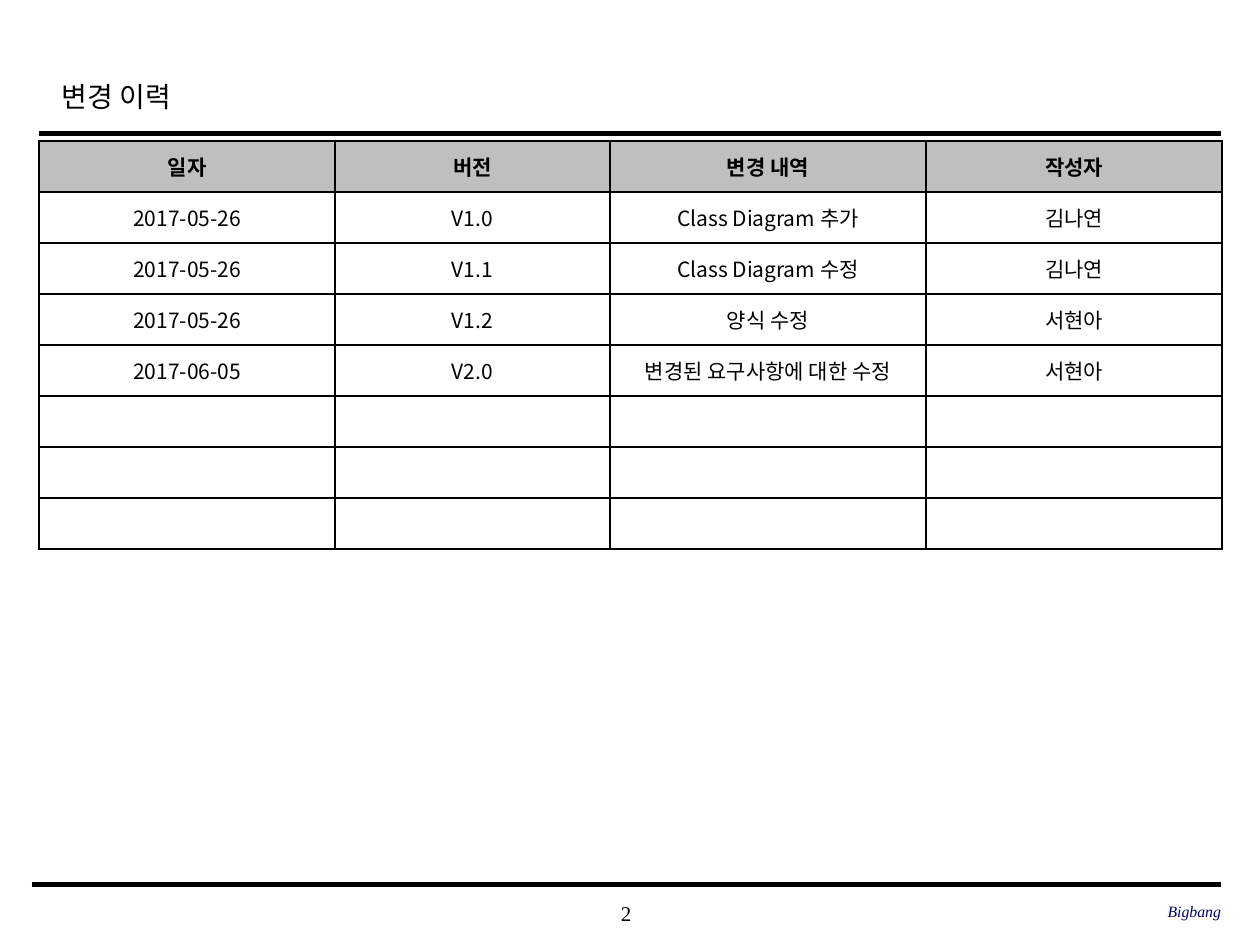
from lxml import etree
from pptx import Presentation
from pptx.dml.color import RGBColor
from pptx.enum.shapes import MSO_CONNECTOR
from pptx.enum.text import MSO_ANCHOR, PP_ALIGN
from pptx.oxml import parse_xml
from pptx.oxml.ns import nsdecls, qn
from pptx.util import Inches, Pt

LEFT, CENTER, RIGHT = PP_ALIGN.LEFT, PP_ALIGN.CENTER, PP_ALIGN.RIGHT
MIDDLE = MSO_ANCHOR.MIDDLE
STRAIGHT = MSO_CONNECTOR.STRAIGHT
HEX = {"ink": "000000", "navy": "000066", "head": "BFBFBF", "paper": "FFFFFF"}
SERIF, SANS = "Times New Roman", "Noto Sans CJK KR"
EDGE = 9.69


def write(frame, text, align, color="ink", **style):
    """Fill a frame with one styled line; Hangul always uses the sans font."""
    line = frame.paragraphs[0]
    line.alignment = align
    run = line.add_run()
    run.text = text
    for key, value in style.items():
        setattr(run.font, key, value)
    run.font.color.rgb = RGBColor.from_string(HEX[color])
    east = etree.SubElement(run.font._element, qn("a:ea"))
    east.set("typeface", SANS)
    return line


deck = Presentation()
deck.slide_width, deck.slide_height = Inches(10), Inches(7.5)
slide = deck.slides.add_slide(deck.slide_layouts[5])

# Title
title = slide.shapes.title
title.left, title.top, title.width, title.height = map(Inches, (0.39, 0.49, 7.55, 0.5))
title.text_frame.vertical_anchor = MIDDLE
line = write(title.text_frame, "변경 이력", LEFT, name=SERIF, size=Pt(16))
line.line_spacing = 1.2

# Rules above and below the content
for left, y, weight in ((0.31, 1.06, 2.5), (0.25, 7.02, 3)):
    rule = slide.shapes.add_connector(
        STRAIGHT, Inches(left), Inches(y), Inches(EDGE), Inches(y))
    rule.line.color.rgb = RGBColor.from_string(HEX["ink"])
    rule.line.width = Pt(weight)
    etree.SubElement(rule._element.spPr, qn("a:effectLst"))

# Footer: page number and team name
footer = (
    ("2", 3.93, 7.08, 2.08, CENTER, {"size": Pt(12)}),
    ("Bigbang", 6.63, 7.07, 3.06, RIGHT,
     {"size": Pt(9), "italic": True, "color": "navy"}),
)
for text, left, top, width, align, style in footer:
    box = slide.shapes.add_textbox(*map(Inches, (left, top, width, 0.33)))
    frame = box.text_frame
    flat = {"word_wrap": True, "vertical_anchor": MIDDLE, "margin_left": 0,
            "margin_right": 0, "margin_top": 0, "margin_bottom": 0}
    for key, value in flat.items():
        setattr(frame, key, value)
    write(frame, text, align, name=SERIF, **style)

# Change history, with blank rows left for later entries
blank = ("",) * 4
rows = [
    ("일자", "버전", "변경 내역", "작성자"),
    ("2017-05-26", "V1.0", "Class Diagram 추가", "김나연"),
    ("2017-05-26", "V1.1", "Class Diagram 수정", "김나연"),
    ("2017-05-26", "V1.2", "양식 수정", "서현아"),
    ("2017-06-05", "V2.0", "변경된 요구사항에 대한 수정", "서현아"),
] + [blank] * 3
cols = (2.35, 2.18, 2.51, 2.35)
high = 3.24 / len(rows)
table = slide.shapes.add_table(
    len(rows), len(cols), Inches(0.31), Inches(1.12),
    Inches(sum(cols)), Inches(high * len(rows))).table
for col, width in zip(table.columns, cols):
    col.width = Inches(width)
for r, row in enumerate(rows):
    table.rows[r].height = Inches(high)
    for c, text in enumerate(row):
        cell = table.cell(r, c)
        cell.vertical_anchor = MIDDLE
        write(cell.text_frame, text, CENTER, name=SANS, size=Pt(12), bold=r == 0)
        props = cell._tc.get_or_add_tcPr()
        for side in ("lnL", "lnR", "lnT", "lnB"):
            props.append(parse_xml(
                f'<a:{side} {nsdecls("a")} w="{Pt(1)}"><a:solidFill>'
                f'<a:srgbClr val="{HEX["ink"]}"/></a:solidFill></a:{side}>'))
        cell.fill.solid()
        cell.fill.fore_color.rgb = RGBColor.from_string(HEX["paper" if r else "head"])

deck.save("out.pptx")
